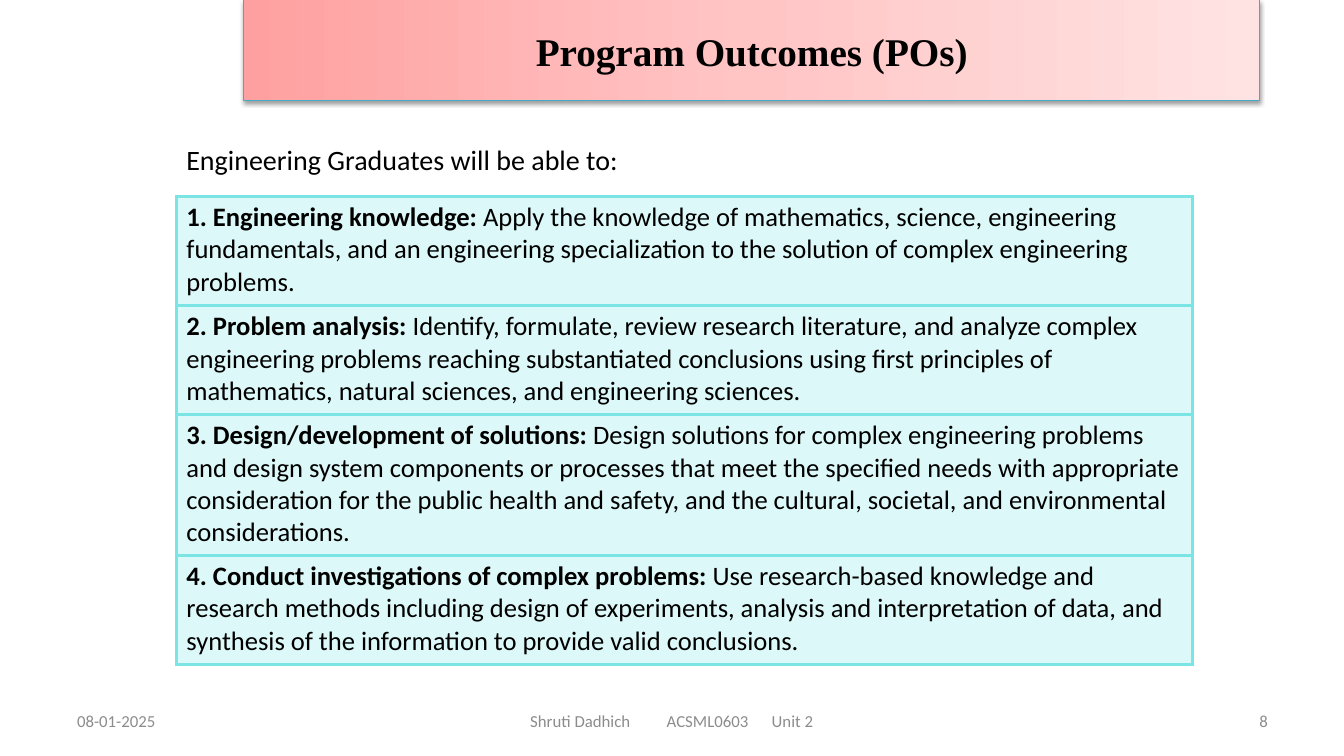
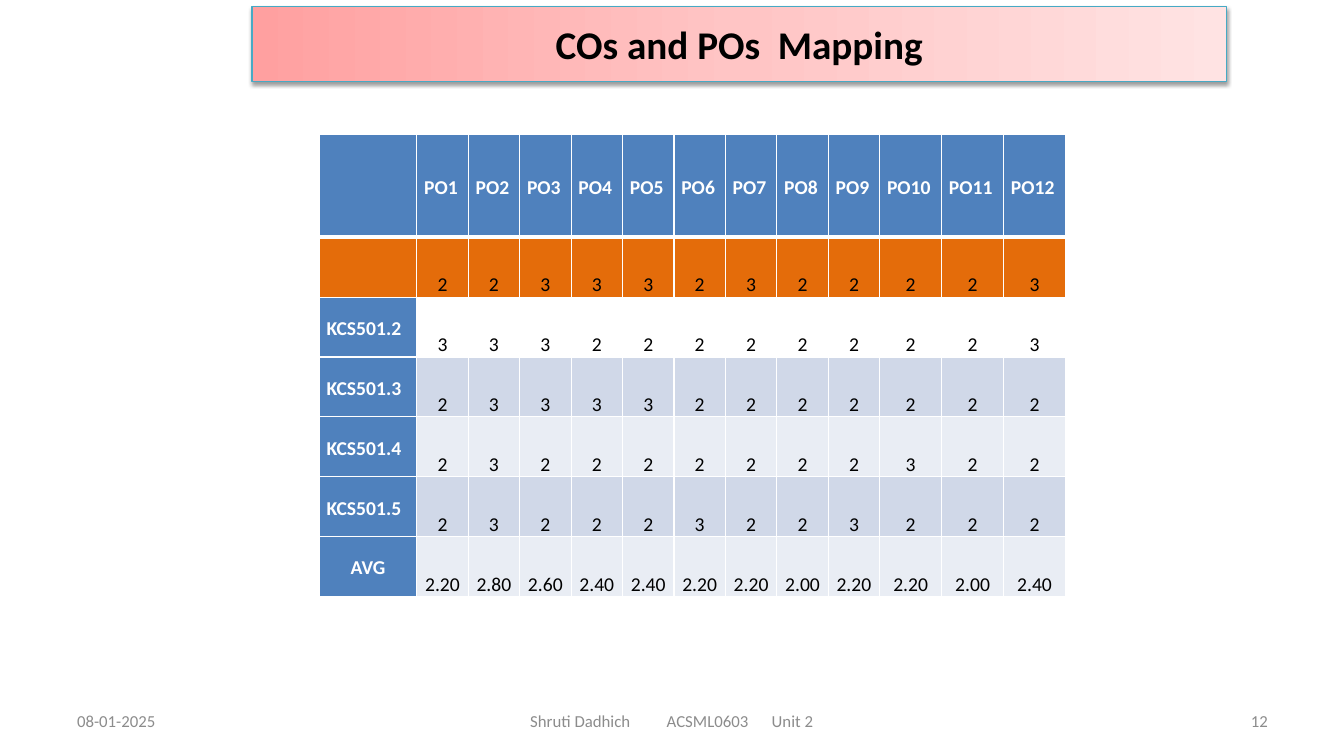
from pptx import Presentation
from pptx.dml.color import RGBColor
from pptx.enum.shapes import MSO_SHAPE
from pptx.enum.text import MSO_ANCHOR, PP_ALIGN
from pptx.oxml import parse_xml
from pptx.util import Pt

PX = 9525
NS = 'xmlns:a="http://schemas.openxmlformats.org/drawingml/2006/main"'
WHITE, BLACK, GREY = "FFFFFF", "000000", "8C8C8C"
BLUE, ORANGE, AQUA = "4F81BD", "E46C0A", "7BE5E5"
DARK, LIGHT = "D0D8E8", "E9EDF4"
RED = [(0, "FFA0A0"), (50, "FFC5C5"), (100, "FFE3E3")]
rgb = RGBColor.from_string


def write(par, text, size, color=BLACK, **form):
    run = par.add_run()
    run.text = text
    run.font.color.rgb = rgb(color)
    for key, val in {"name": "Calibri", "size": Pt(size), **form}.items():
        setattr(run.font, key, val)


def edge(cell, color, left=1, right=1, top=1, bottom=1):
    """Draw the four borders of a cell, widths in points."""
    props = cell._tc.get_or_add_tcPr()
    sides = {"L": left, "R": right, "T": top, "B": bottom}
    for i, (side, width) in enumerate(sides.items()):
        props.insert(i, parse_xml(
            f'<a:ln{side} {NS} w="{Pt(width)}"><a:solidFill>'
            f'<a:srgbClr val="{color}"/></a:solidFill></a:ln{side}>'))


deck = Presentation()
deck.slide_width, deck.slide_height = 1280 * PX, 720 * PX

# Title bands and footers
pages = [
    ("Program Outcomes (POs)", "Times New Roman", "8", (232, 0, 968, 96)),
    ("COs and POs  Mapping", "Calibri", "12", (240, 6, 928, 72)),
]
slides = []
for title, face, page, area in pages:
    slide = deck.slides.add_slide(deck.slide_layouts[6])
    slides.append(slide)
    feet = [
        ("08-01-2025", 64, 299, PP_ALIGN.LEFT),
        ("Shruti Dadhich\tACSML0603\tUnit 2", 438, 405, PP_ALIGN.LEFT),
        (page, 918, 299, PP_ALIGN.RIGHT),
    ]
    for text, left, width, align in feet:
        box = slide.shapes.add_textbox(left * PX, 667 * PX, width * PX, 38 * PX)
        frame = box.text_frame
        frame.word_wrap = True
        frame.vertical_anchor = MSO_ANCHOR.MIDDLE
        par = frame.paragraphs[0]
        par.alignment = align
        if "\t" in text:
            frame.margin_left = 67 * PX
            stops = "".join(f'<a:tab pos="{stop * PX}" algn="l"/>' for stop in (130, 230))
            par._p.get_or_add_pPr().append(
                parse_xml(f"<a:tabLst {NS}>{stops}</a:tabLst>"))
        write(par, text, 12, GREY)

    band = slide.shapes.add_shape(MSO_SHAPE.RECTANGLE, *[v * PX for v in area])
    band.fill.gradient()
    band.fill.gradient_angle = 0
    band.line.color.rgb = rgb("46AAC5")
    band.line.width = Pt(0.75)
    band.shadow.inherit = False
    props = band._element.spPr
    stops = props.find(".//{*}gsLst")
    stops.clear()
    for pos, color in RED:
        stops.append(parse_xml(
            f'<a:gs {NS} pos="{pos * 1000}"><a:srgbClr val="{color}"/></a:gs>'))
    props.find("{*}effectLst").append(parse_xml(
        f'<a:outerShdw {NS} blurRad="40000" dist="20000" dir="5400000" rotWithShape="0">'
        f'<a:srgbClr val="{BLACK}"><a:alpha val="38000"/></a:srgbClr></a:outerShdw>'))
    band.text_frame.vertical_anchor = MSO_ANCHOR.MIDDLE
    par = band.text_frame.paragraphs[0]
    par.alignment = PP_ALIGN.CENTER
    write(par, title, 28, name=face, bold=True)

# Program outcomes
first, second = slides
box = first.shapes.add_textbox(168 * PX, 131 * PX, 434 * PX, 42 * PX)
box.text_frame.word_wrap = False
write(box.text_frame.paragraphs[0], "Engineering Graduates will be able to:", 20)

goals = [
    ("1. Engineering knowledge:", 104,
     "Apply the knowledge of mathematics, science, engineering fundamentals, and an "
     "engineering specialization to the solution of complex engineering problems."),
    ("2. Problem analysis:", 104,
     "Identify, formulate, review research literature, and analyze complex engineering "
     "problems reaching substantiated conclusions using first principles of mathematics, "
     "natural sciences, and engineering sciences."),
    ("3. Design/development of solutions:", 134,
     "Design solutions for complex engineering problems and design system components or "
     "processes that meet the specified needs with appropriate consideration for the "
     "public health and safety, and the cultural, societal, and environmental "
     "considerations."),
    ("4. Conduct investigations of complex problems:", 104,
     "Use research-based knowledge and research methods including design of experiments, "
     "analysis and interpretation of data, and synthesis of the information to provide "
     "valid conclusions."),
]
table = first.shapes.add_table(
    len(goals), 1, 168 * PX, 187 * PX, 968 * PX, 446 * PX).table
table.first_row = table.horz_banding = False
for i, (head, height, text) in enumerate(goals):
    table.rows[i].height = height * PX
    cell = table.cell(i, 0)
    cell.fill.solid()
    cell.fill.fore_color.rgb = rgb(AQUA)
    cell._tc.tcPr.find(".//{*}srgbClr").append(
        parse_xml(f'<a:alpha {NS} val="25000"/>'))
    edge(cell, AQUA, 2.25, 2.25, 2.25, 2.25)
    par = cell.text_frame.paragraphs[0]
    write(par, head, 19, bold=True)
    write(par, " " + text, 19, bold=False)

# Mapping of course outcomes to program outcomes
rows = [
    ("", BLUE, [f"PO{n}" for n in range(1, 13)]),
    ("", ORANGE, "2 2 3 3 3 2 3 2 2 2 2 3".split()),
    ("KCS501.2", None, "3 3 3 2 2 2 2 2 2 2 2 3".split()),
    ("KCS501.3", DARK, "2 3 3 3 3 2 2 2 2 2 2 2".split()),
    ("KCS501.4", LIGHT, "2 3 2 2 2 2 2 2 2 3 2 2".split()),
    ("KCS501.5", DARK, "2 3 2 2 2 3 2 2 3 2 2 2".split()),
    ("AVG", LIGHT,
     "2.20 2.80 2.60 2.40 2.40 2.20 2.20 2.00 2.20 2.20 2.00 2.40".split()),
]
wide = [93] + [49] * 9 + [59] * 3
high = [98] + [57] * 6
table = second.shapes.add_table(
    len(high), len(wide), 304 * PX, 128 * PX, sum(wide) * PX, sum(high) * PX).table
table.first_row = table.horz_banding = False
for col, width in zip(table.columns, wide):
    col.width = width * PX
for r, (name, color, vals) in enumerate(rows):
    table.rows[r].height = high[r] * PX
    for c, text in enumerate([name] + vals):
        cell = table.cell(r, c)
        head = r == 0 or c == 0
        fill = BLUE if c == 0 and name else color
        if fill:
            cell.fill.solid()
            cell.fill.fore_color.rgb = rgb(fill)
        else:
            cell.fill.background()
        edge(cell, WHITE, top=3 if r == 1 else 1, bottom=3 if r == 0 else 1)
        cell.margin_left = cell.margin_right = 7 * PX
        cell.margin_top = cell.margin_bottom = 0
        cell.vertical_anchor = MSO_ANCHOR.MIDDLE if head else MSO_ANCHOR.BOTTOM
        if not text:
            continue
        par = cell.text_frame.paragraphs[0]
        par.line_spacing = 1.15
        if r == 0:
            par.alignment = PP_ALIGN.JUSTIFY
        elif c or text == "AVG":
            par.alignment = PP_ALIGN.CENTER
        if not head:
            par.space_after = Pt(10)
        write(par, text, 14, WHITE if head else BLACK, bold=head)

deck.save("out.pptx")
